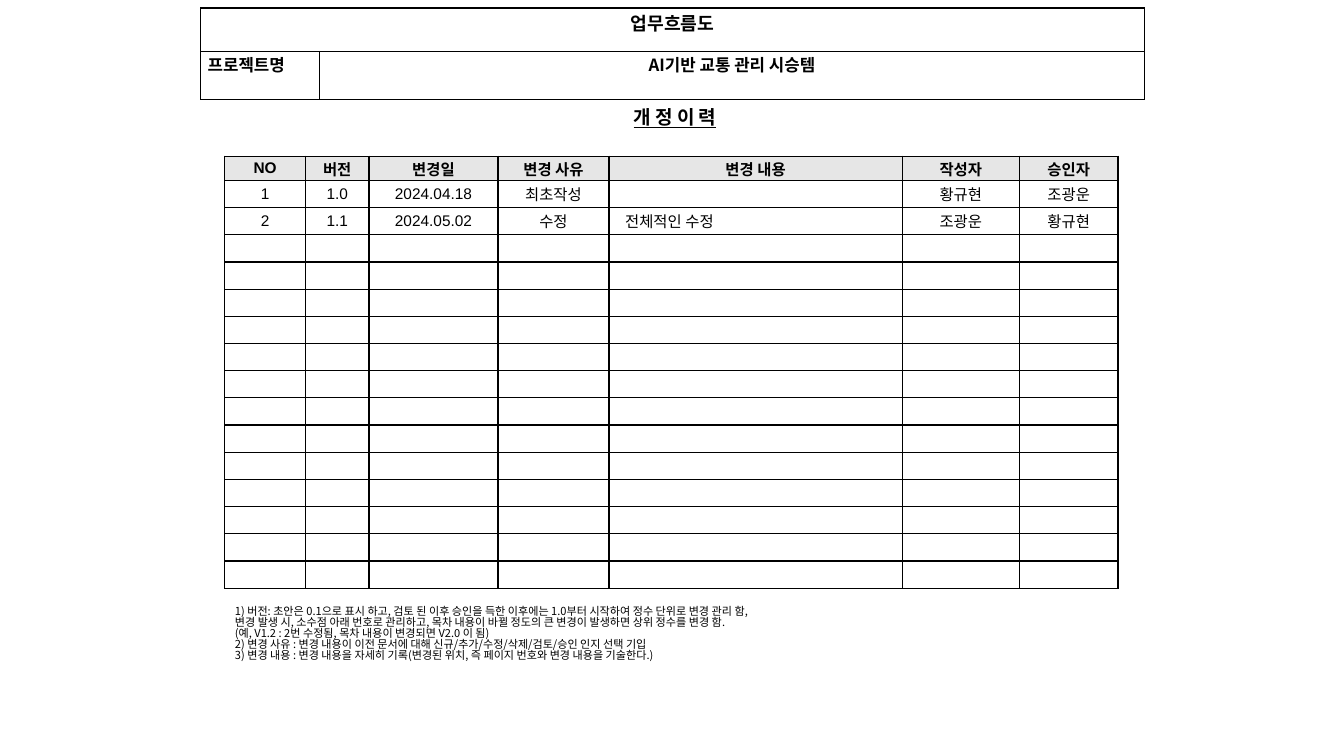
from dataclasses import dataclass

from lxml.etree import SubElement
from pptx import Presentation
from pptx.dml.color import RGBColor
from pptx.enum.text import MSO_ANCHOR, MSO_AUTO_SIZE, PP_ALIGN
from pptx.oxml.ns import qn
from pptx.util import Inches, Pt

BLACK = RGBColor(0x00, 0x00, 0x00)
WHITE = RGBColor(0xFF, 0xFF, 0xFF)
GREY = RGBColor(0xE6, 0xE6, 0xE6)
LATIN = "Arial"
HANGUL = "Noto Sans CJK KR"


@dataclass(frozen=True)
class Style:
    size: float
    face: str = HANGUL
    bold: bool = False
    line: bool = False
    align: PP_ALIGN = PP_ALIGN.CENTER
    space: float = 1.0


@dataclass(frozen=True)
class Pad:
    side: float
    edge: float
    left: float
    anchor: MSO_ANCHOR


@dataclass(frozen=True)
class Grid:
    left: float
    top: float
    cols: list[float]
    rows: list[float]


TITLE = Style(13.6, bold=True, line=True)
NOTE = Style(7.9, align=PP_ALIGN.LEFT, space=0.83)
TOP = Style(13, bold=True)
NAME = Style(12, bold=True)
LABEL = Style(12, bold=True, align=PP_ALIGN.LEFT)
HEAD = Style(11, LATIN, bold=True)
ITEM = Style(11, LATIN)
DETAIL = Style(11, LATIN, align=PP_ALIGN.LEFT)

FORM_PAD = Pad(0.07, 0.01, 0.07, MSO_ANCHOR.TOP)
LOG_PAD = Pad(0.06, 0, 0.06, MSO_ANCHOR.MIDDLE)
DETAIL_PAD = Pad(0.06, 0, 0.16, MSO_ANCHOR.MIDDLE)

FORM = Grid(1.99, 0.08, [1.18, 8.18], [0.43, 0.48])
LOG = Grid(2.23, 1.55, [0.8, 0.63, 1.28, 1.1, 2.91, 1.16, 0.98], [0.24] + [0.27] * 15)
DETAIL_COL = 4

RECORDS = [
    ["NO", "버전", "변경일", "변경 사유", "변경 내용", "작성자", "승인자"],
    ["1", "1.0", "2024.04.18", "최초작성", "", "황규현", "조광운"],
    ["2", "1.1", "2024.05.02", "수정", "전체적인 수정", "조광운", "황규현"],
]
NOTES = [
    "1) 버전: 초안은 0.1으로 표시 하고, 검토 된 이후 승인을 득한 이후에는 1.0부터 시작하여 정수 단위로 변경 관리 함,",
    "변경 발생 시, 소수점 아래 번호로 관리하고, 목차 내용이 바뀔 정도의 큰 변경이 발생하면 상위 정수를 변경 함.",
    "(예, V1.2 : 2번 수정됨, 목차 내용이 변경되면 V2.0 이 됨)",
    "2) 변경 사유 : 변경 내용이 이전 문서에 대해 신규/추가/수정/삭제/검토/승인 인지 선택 기입",
    "3) 변경 내용 : 변경 내용을 자세히 기록(변경된 위치, 즉 페이지 번호와 변경 내용을 기술한다.)",
]


def assign(target, values: dict) -> None:
    for key, value in values.items():
        setattr(target, key, value)


def write(frame, lines: list[str], style: Style) -> None:
    for i, text in enumerate(lines):
        para = frame.add_paragraph() if i else frame.paragraphs[0]
        assign(para, {"alignment": style.align, "line_spacing": style.space,
                      "space_before": Pt(0), "space_after": Pt(0)})
        if not text:
            SubElement(para._p, qn("a:endParaRPr"), sz=str(int(style.size * 100)))
            continue
        run = para.add_run()
        run.text = text
        assign(run.font, {"size": Pt(style.size), "name": style.face,
                          "bold": style.bold, "underline": style.line})
        run.font.color.rgb = BLACK
        SubElement(run._r.get_or_add_rPr(), qn("a:ea"), typeface=HANGUL)


def place(holder, box: tuple, anchor: MSO_ANCHOR, lines: list[str], style: Style) -> None:
    assign(holder, dict(zip(("left", "top", "width", "height"), map(Inches, box))))
    frame = holder.text_frame
    assign(frame, {"word_wrap": True, "auto_size": MSO_AUTO_SIZE.NONE,
                   "vertical_anchor": anchor,
                   "margin_left": Inches(0.1), "margin_right": Inches(0.1),
                   "margin_top": Inches(0.05), "margin_bottom": Inches(0.05)})
    write(frame, lines, style)
    for para in frame.paragraphs:
        props = para._p.get_or_add_pPr()
        props.set("marL", "0")
        props.set("indent", "0")
        SubElement(props, qn("a:buNone"))


def border(cell) -> None:
    props = cell._tc.get_or_add_tcPr()
    for i, side in enumerate(("lnL", "lnR", "lnT", "lnB")):
        line = props.makeelement(qn(f"a:{side}"), {"w": str(Pt(1))})
        props.insert(i, line)
        fill = SubElement(line, qn("a:solidFill"))
        SubElement(fill, qn("a:srgbClr"), val=str(BLACK))


def fill_cell(cell, text: str, style: Style, pad: Pad, shade: RGBColor) -> None:
    assign(cell, {"margin_left": Inches(pad.left), "margin_right": Inches(pad.side),
                  "margin_top": Inches(pad.edge), "margin_bottom": Inches(pad.edge),
                  "vertical_anchor": pad.anchor})
    cell.fill.solid()
    cell.fill.fore_color.rgb = shade
    border(cell)
    write(cell.text_frame, [text], style)


def add_grid(slide, grid: Grid):
    table = slide.shapes.add_table(
        len(grid.rows), len(grid.cols), Inches(grid.left), Inches(grid.top),
        Inches(sum(grid.cols)), Inches(sum(grid.rows))).table
    assign(table, {"first_row": False, "horz_banding": False})
    for col, width in zip(table.columns, grid.cols):
        col.width = Inches(width)
    for row, height in zip(table.rows, grid.rows):
        row.height = Inches(height)
    return table


def add_log(slide) -> None:
    table = add_grid(slide, LOG)
    for r in range(len(LOG.rows)):
        for c in range(len(LOG.cols)):
            text = RECORDS[r][c] if r < len(RECORDS) else ""
            style, pad, shade = ITEM, LOG_PAD, WHITE
            if r == 0:
                style, shade = HEAD, GREY
            elif c == DETAIL_COL:
                style, pad = DETAIL, DETAIL_PAD
            fill_cell(table.cell(r, c), text, style, pad, shade)


def add_form(slide) -> None:
    table = add_grid(slide, FORM)
    table.cell(0, 0).merge(table.cell(0, 1))
    cells = [(0, 0, "업무흐름도", TOP), (0, 1, "", TOP),
             (1, 0, "프로젝트명", LABEL), (1, 1, "AI기반 교통 관리 시승템", NAME)]
    for r, c, text, style in cells:
        fill_cell(table.cell(r, c), text, style, FORM_PAD, WHITE)


def main() -> None:
    deck = Presentation()
    assign(deck, {"slide_width": Inches(13.33), "slide_height": Inches(7.5)})
    slide = deck.slides.add_slide(deck.slide_layouts[1])
    place(slide.shapes.title, (5.82, 1, 1.75, 0.32), MSO_ANCHOR.MIDDLE,
          ["개 정 이 력"], TITLE)
    place(slide.placeholders[1], (2.23, 5.97, 8.87, 0.76), MSO_ANCHOR.TOP, NOTES, NOTE)
    add_log(slide)
    add_form(slide)
    deck.save("out.pptx")


if __name__ == "__main__":
    main()
